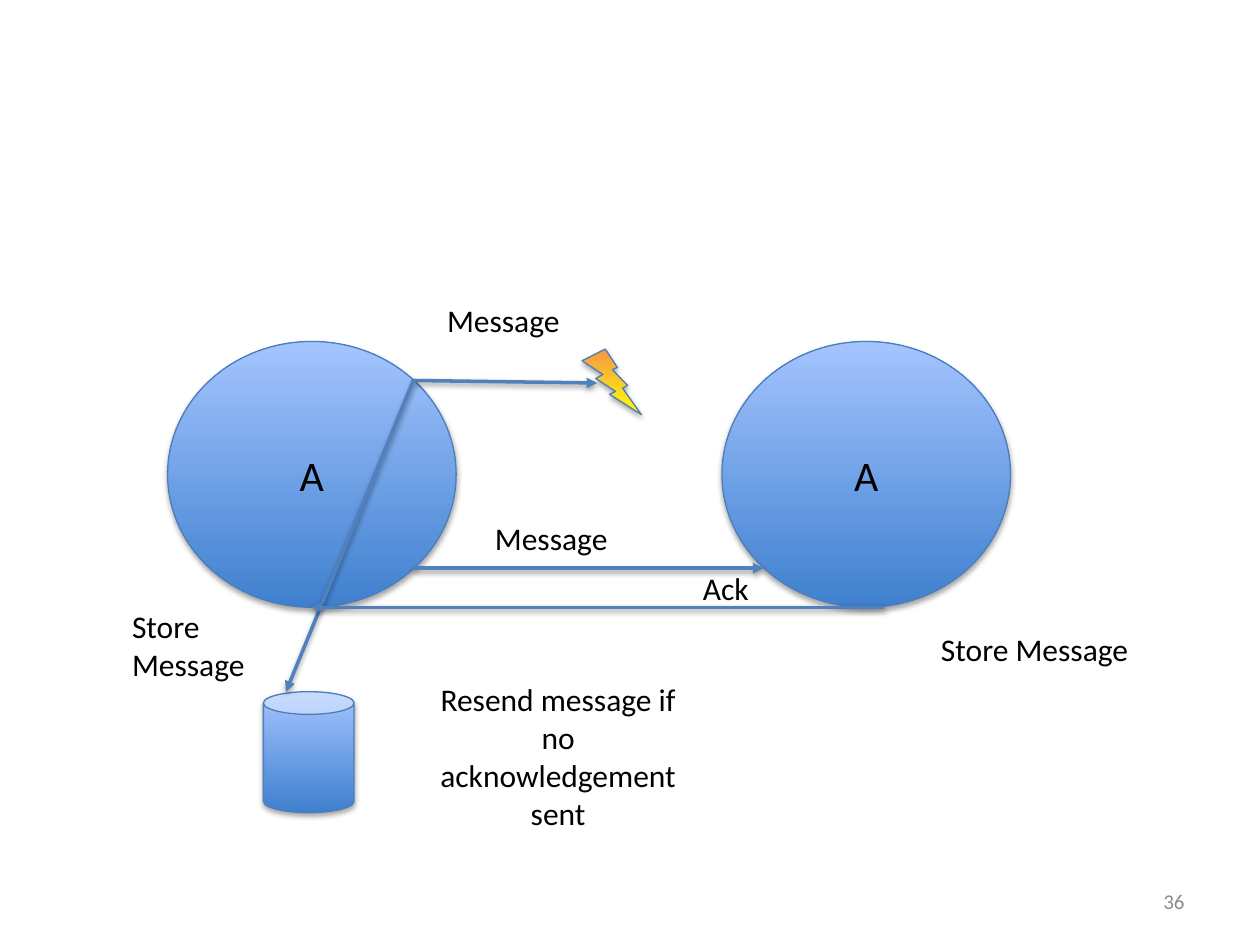
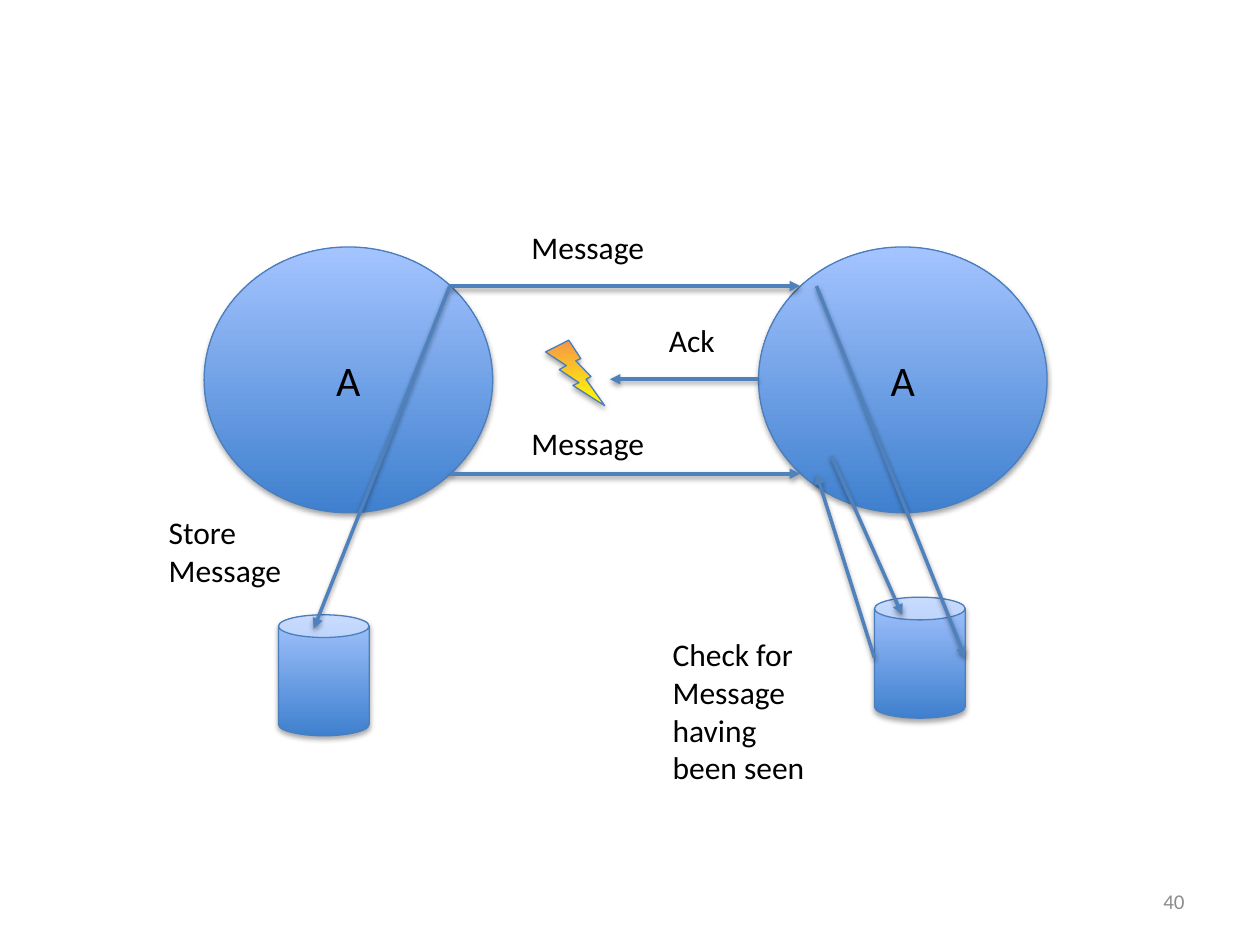
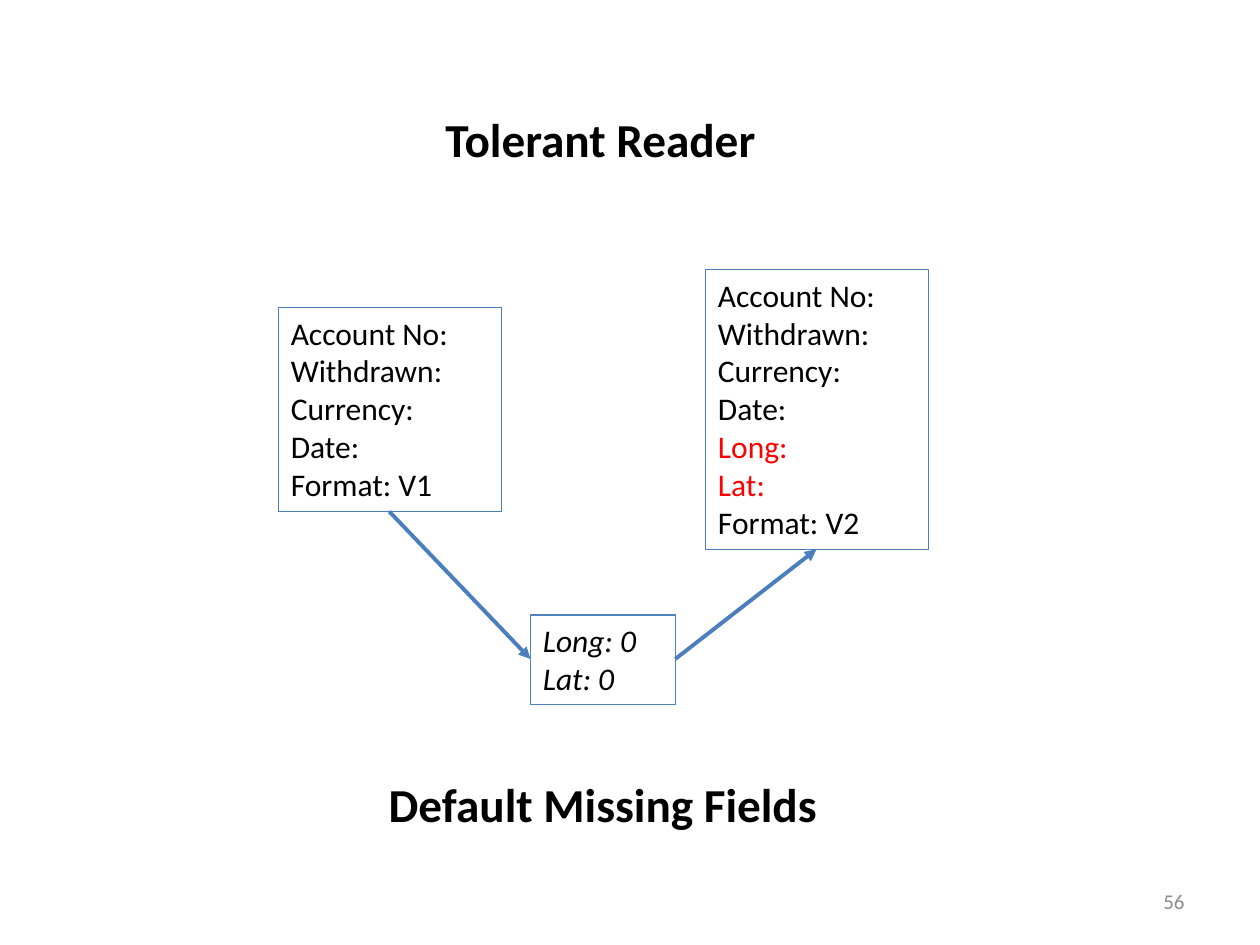
from lxml.etree import SubElement
from pptx import Presentation
from pptx.dml.color import RGBColor
from pptx.enum.shapes import MSO_CONNECTOR, MSO_SHAPE
from pptx.enum.text import MSO_ANCHOR, PP_ALIGN
from pptx.oxml.ns import qn
from pptx.util import Inches, Pt

COLORS = {
    "text": "000000",
    "number": "8C8C8C",
    "new_field": "FF0000",
    "outline": "4B7EBC",
    "arrow": "4F81BD",
    "blue_dark": "3F80CE",
    "blue_light": "A4C4FF",
    "yellow": "FFFF00",
    "orange": "F79646",
    "shadow": "000000",
}
BLUE = ("blue_dark", "blue_light")
FIRE = ("yellow", "orange")

LABEL = {"name": "Calibri", "size": Pt(18)}
NODE_LABEL = {**LABEL, "size": Pt(24)}
HEADING = {**LABEL, "size": Pt(27), "bold": True}
NUMBER = {**LABEL, "size": Pt(12)}
DEFAULT_VALUE = {**LABEL, "italic": True}

NODE_SIZE = (2.29, 2.11)
NODE_STEP = 4.4
CAN_SIZE = (0.72, 0.96)
BOLT_SIZE = (0.47, 0.52)
SENDER_TOP = (1.95, 0.31)
SENDER_BOTTOM = (1.95, 1.8)
ARROW_LENGTH = 2.78


def color(name):
    return RGBColor.from_string(COLORS[name])


def apply_format(target, values):
    for name, value in values.items():
        setattr(target, name, value)


def shifted(origin, point):
    return origin[0] + point[0], origin[1] + point[1]


def inches(*lengths):
    return [Inches(round(length, 2)) for length in lengths]


def add_shadow(effects, distance, alpha):
    shadow = SubElement(effects, qn("a:outerShdw"), {
        "blurRad": str(Pt(3.1)), "dist": str(Pt(distance)),
        "dir": "5400000", "rotWithShape": "0"})
    shade = SubElement(shadow, qn("a:srgbClr"), val=COLORS["shadow"])
    SubElement(shade, qn("a:alpha"), val=str(alpha * 1000))


def write_lines(frame, lines, font, align=PP_ALIGN.LEFT, font_color="text", accents=()):
    for index, line in enumerate(lines):
        paragraph = frame.paragraphs[0] if index == 0 else frame.add_paragraph()
        paragraph.text = line
        paragraph.alignment = align
        apply_format(paragraph.font, font)
        paragraph.font.color.rgb = color("new_field" if line in accents else font_color)


def add_text(slide, position, size, lines, font=LABEL, wrap=True,
             anchor=MSO_ANCHOR.TOP, **style):
    box = slide.shapes.add_textbox(*inches(*position, *size))
    apply_format(box.text_frame, {"word_wrap": wrap, "vertical_anchor": anchor})
    write_lines(box.text_frame, lines, font, **style)
    return box


def add_solid(slide, kind, position, size, gradient=BLUE):
    shape = slide.shapes.add_shape(kind, *inches(*position, *size))
    shape.fill.gradient()
    shape.fill.gradient_angle = 90
    for stop, name in zip(shape.fill.gradient_stops, gradient):
        stop.color.rgb = color(name)
    shape.line.color.rgb = color("outline")
    shape.line.width = Pt(0.75)
    shape.shadow.inherit = False
    add_shadow(shape._element.spPr.find(qn("a:effectLst")), 1.8, 35)
    return shape


def add_arrow(slide, start, end, line_color="arrow", width=2, shadow=True):
    arrow = slide.shapes.add_connector(MSO_CONNECTOR.STRAIGHT, *inches(*start, *end))
    arrow.line.color.rgb = color(line_color)
    arrow.line.width = Pt(width)
    properties = arrow._element.spPr
    SubElement(properties.find(qn("a:ln")), qn("a:tailEnd"), type="triangle")
    effects = SubElement(properties, qn("a:effectLst"))
    if shadow:
        add_shadow(effects, 1.6, 38)


def add_numbered_slide(presentation, number):
    slide = presentation.slides.add_slide(presentation.slide_layouts[6])
    add_text(slide, (7.17, 6.95), (2.33, 0.4), [str(number)], NUMBER,
             anchor=MSO_ANCHOR.MIDDLE, align=PP_ALIGN.RIGHT, font_color="number")
    return slide


def add_arrows(slide, origin, routes):
    for start, end in routes:
        add_arrow(slide, shifted(origin, start), shifted(origin, end))


def add_labels(slide, origin, labels):
    for position, size, text in labels:
        add_text(slide, shifted(origin, position), size, [text])


def add_exchange(slide, origin, bolt, cans):
    for column in range(2):
        node = add_solid(slide, MSO_SHAPE.OVAL,
                         shifted(origin, (column * NODE_STEP, 0)), NODE_SIZE)
        node.text_frame.vertical_anchor = MSO_ANCHOR.MIDDLE
        write_lines(node.text_frame, ["A"], NODE_LABEL, PP_ALIGN.CENTER)
    add_solid(slide, MSO_SHAPE.LIGHTNING_BOLT, shifted(origin, bolt), BOLT_SIZE, FIRE)
    for can in cans:
        add_solid(slide, MSO_SHAPE.CAN, shifted(origin, can), CAN_SIZE)
    add_arrows(slide, origin, [(SENDER_BOTTOM, shifted(SENDER_BOTTOM, (ARROW_LENGTH, 0)))])
    add_labels(slide, origin, [
        ((2.5, 1.36), (1.67, 0.4), "Message"),
        ((-0.38, 2.06), (1.56, 0.71), "Store Message"),
    ])


def add_lost_message(slide, origin):
    add_exchange(slide, origin, bolt=(3.29, 0.06), cans=[(0.76, 2.78)])
    add_arrows(slide, origin, [
        (SENDER_TOP, (3.41, 0.33)),
        (SENDER_TOP, (0.94, 2.78)),
        ((5.69, 2.11), (1.14, 2.11)),
    ])
    add_labels(slide, origin, [
        ((2.12, -0.37), (1.67, 0.4), "Message"),
        ((4.15, 1.76), (0.59, 0.4), "Ack"),
    ])
    add_text(slide, shifted(origin, (2.02, 2.64)), (2.16, 1.31),
             ["Resend message if no acknowledgement sent"], align=PP_ALIGN.CENTER)
    add_text(slide, shifted(origin, (6.04, 2.24)), (1.7, 0.4), ["Store Message"], wrap=False)


def add_lost_acknowledgement(slide, origin):
    add_exchange(slide, origin, bolt=(2.71, 0.74), cans=[(5.32, 2.78), (0.59, 2.92)])
    add_arrows(slide, origin, [
        (SENDER_TOP, shifted(SENDER_TOP, (ARROW_LENGTH, 0))),
        ((NODE_STEP, 1.05), (3.22, 1.05)),
        ((4.98, 1.66), (5.54, 2.92)),
        ((4.86, 0.31), (6.04, 3.26)),
        ((5.32, 3.26), (4.86, 1.8)),
        (SENDER_TOP, (0.87, 3.03)),
    ])
    add_labels(slide, origin, [
        ((2.5, -0.2), (1.67, 0.4), "Message"),
        ((3.59, 0.54), (0.59, 0.4), "Ack"),
        ((3.62, 3.03), (1.3, 1.31), "Check for Message having been seen"),
    ])


def add_record(slide, position, size, lines, font=LABEL, line_color="outline", accents=()):
    record = add_text(slide, position, size, lines, font, accents=accents)
    record.line.color.rgb = color(line_color)
    record.line.width = Pt(0.75)


def add_tolerant_reader(slide, origin):
    new_at, new_size = shifted(origin, (3.39, 1.31)), (1.77, 2.22)
    old_at, old_size = shifted(origin, (0, 1.61)), (1.77, 1.62)
    default_at, default_size = shifted(origin, (2, 4.05)), (1.15, 0.71)
    common = ["Account No:", "Withdrawn:", "Currency:", "Date:"]
    added = ["Long:", "Lat:"]

    add_record(slide, new_at, new_size, common + added + ["Format: V2"], accents=added)
    add_record(slide, old_at, old_size, common + ["Format: V1"])
    add_record(slide, default_at, default_size, [f"{field} 0" for field in added],
               DEFAULT_VALUE, "arrow")
    for position, text in [((0.69, 0), "Tolerant Reader"),
                           ((0.71, 5.27), "Default Missing Fields")]:
        add_text(slide, shifted(origin, position), (3.73, 0.56), [text], HEADING,
                 align=PP_ALIGN.CENTER)

    old_bottom = shifted(old_at, (old_size[0] / 2, old_size[1]))
    new_bottom = shifted(new_at, (new_size[0] / 2, new_size[1]))
    default_left = shifted(default_at, (0, default_size[1] / 2))
    default_right = shifted(default_left, (default_size[0], 0))
    for start, end in [(old_bottom, default_left), (default_right, new_bottom)]:
        add_arrow(slide, start, end, "outline", 2.25, shadow=False)


def main():
    presentation = Presentation()
    presentation.slide_width = Inches(10)
    presentation.slide_height = Inches(7.5)
    for number, add_content, origin in [
        (36, add_lost_message, (1.33, 2.71)),
        (40, add_lost_acknowledgement, (1.62, 1.96)),
        (56, add_tolerant_reader, (2.21, 0.83)),
    ]:
        add_content(add_numbered_slide(presentation, number), origin)
    presentation.save("out.pptx")


if __name__ == "__main__":
    main()
